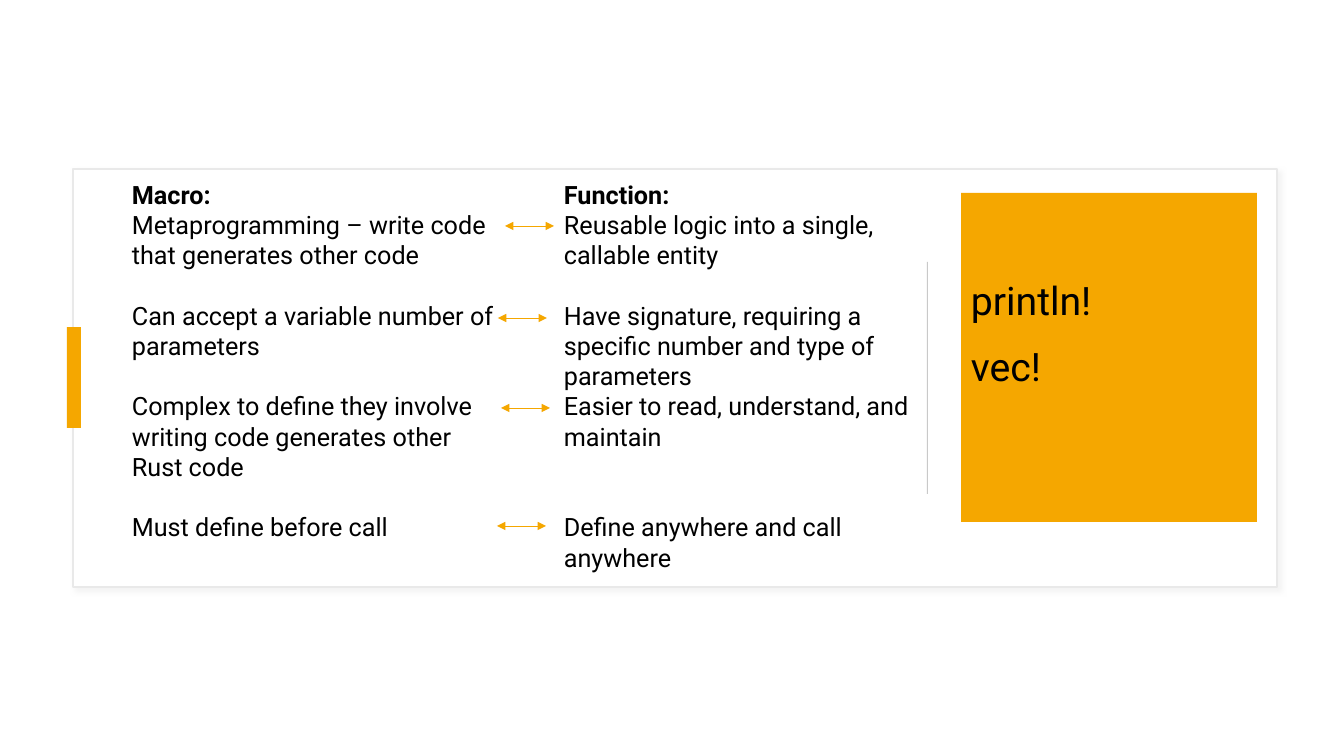
"""Builds a slide that compares macros with functions."""
from pptx import Presentation
from pptx import util as u
from pptx.dml.color import RGBColor
from pptx.enum import shapes, text
from pptx.oxml import parse_xml
from pptx.oxml.ns import nsdecls
from lxml import etree

WHITE = RGBColor(0xFF, 0xFF, 0xFF)
BLACK = RGBColor(0, 0, 0)
AMBER = RGBColor(0xF5, 0xA7, 0x00)
BORDER = RGBColor(0xE9, 0xE9, 0xE9)
DIVIDER = RGBColor(0xC9, 0xC9, 0xC9)
FONT = "Roboto"
LINE_PT = 21.6

MACRO = [
    ("Metaprogramming – write code that generates other code", 0),
    ("Can accept a variable number of parameters", 1),
    ("Complex to define they involve writing code generates other Rust code", 1),
    ("Must define before call", 1),
]
FUNCTION = [
    ("Reusable logic into a single, callable entity", 0),
    ("Have signature, requiring a specific number and type of parameters", 1),
    ("Easier to read, understand, and maintain", 0),
    ("Define anywhere and call anywhere", 2),
]
ARROWS = [(505, 226), (498, 318), (501, 408), (497, 526)]


def px(n):
    return u.Emu(round(n * 914400 / 100.8))


def add_text(tf, content, size=18, bold=False, before=0, spacing=None):
    p = tf.paragraphs[0]
    if p.runs:
        p = tf.add_paragraph()
    p.alignment = text.PP_ALIGN.LEFT
    p.space_before = u.Pt(before)
    if spacing:
        p.line_spacing = spacing
    r = p.add_run()
    r.text = content
    r.font.name = FONT
    r.font.size = u.Pt(size)
    r.font.bold = bold
    r.font.color.rgb = BLACK


class Canvas:
    def __init__(self, s):
        self.s = s

    def rect(self, x, y, w, h, fill, line=None):
        sp = self.s.shapes.add_shape(
            shapes.MSO_SHAPE.RECTANGLE, px(x), px(y), px(w), px(h))
        sp.shadow.inherit = False
        sp.fill.solid()
        sp.fill.fore_color.rgb = fill
        if line is None:
            sp.line.fill.background()
        else:
            sp.line.color.rgb = line
            sp.line.width = u.Pt(1)
        return sp

    def card(self, x, y, w, h):
        sp = self.rect(x, y, w, h, WHITE, BORDER)
        effects = sp._element.spPr.find("{*}effectLst")
        effects.append(parse_xml(
            f'<a:outerShdw {nsdecls("a")} blurRad="{u.Pt(4)}" dist="{u.Pt(3)}" '
            'dir="2700000" algn="tl" rotWithShape="0"><a:srgbClr val="D9D9D9">'
            '<a:alpha val="30000"/></a:srgbClr></a:outerShdw>'))

    def column(self, x, y, w, h, heading, items):
        tf = self.s.shapes.add_textbox(px(x), px(y), px(w), px(h)).text_frame
        tf.word_wrap = True
        add_text(tf, heading, bold=True)
        for content, gap_lines in items:
            add_text(tf, content, before=gap_lines * LINE_PT)

    def panel(self, x, y, w, h, lines):
        tf = self.rect(x, y, w, h, AMBER).text_frame
        tf.word_wrap = True
        tf.vertical_anchor = text.MSO_ANCHOR.TOP
        tf.margin_top = px(79)
        for i, content in enumerate(lines):
            add_text(tf, content, size=28, before=10 if i else 0, spacing=1.1)

    def arrow(self, x, y, w):
        c = self.s.shapes.add_connector(
            shapes.MSO_CONNECTOR.STRAIGHT, px(x), px(y), px(x + w), px(y))
        c.line.color.rgb = AMBER
        c.line.width = u.Pt(0.5)
        ln = c.line._get_or_add_ln()
        for end in ("headEnd", "tailEnd"):
            ln.append(parse_xml(f'<a:{end} {nsdecls("a")} type="triangle"/>'))
        etree.SubElement(
            c._element.spPr,
            "{http://schemas.openxmlformats.org/drawingml/2006/main}effectLst")


def main():
    prs = Presentation()
    prs.slide_width, prs.slide_height = px(1344), px(756)
    canvas = Canvas(prs.slides.add_slide(prs.slide_layouts[6]))
    canvas.card(73, 169, 1204, 418)
    canvas.rect(67, 327, 14, 101, AMBER)
    canvas.rect(927, 262, 1, 232, DIVIDER)
    canvas.panel(961, 193, 296, 329, ["println!", "vec!"])
    canvas.column(122, 174, 384, 407, "Macro:", MACRO)
    canvas.column(554, 174, 384, 407, "Function:", FUNCTION)
    for x, y in ARROWS:
        canvas.arrow(x, y, 49)
    prs.save("out.pptx")


if __name__ == "__main__":
    main()
